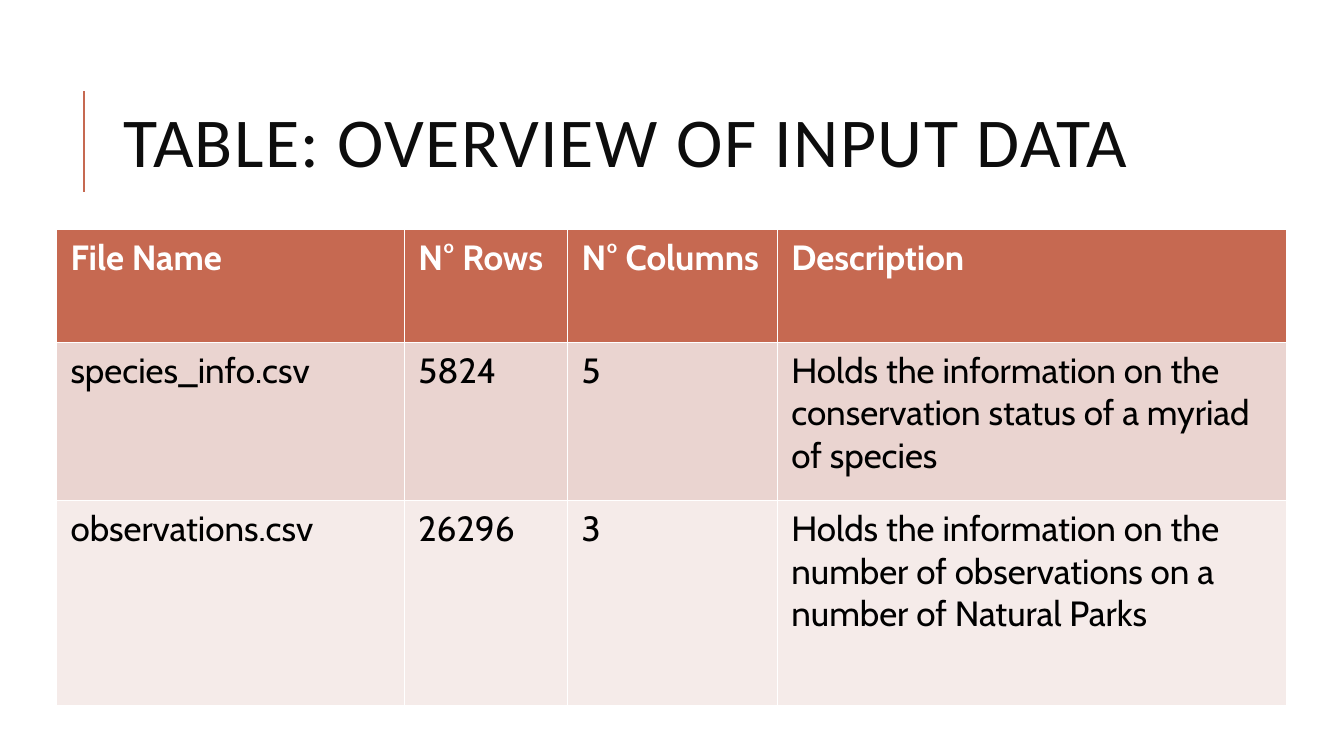
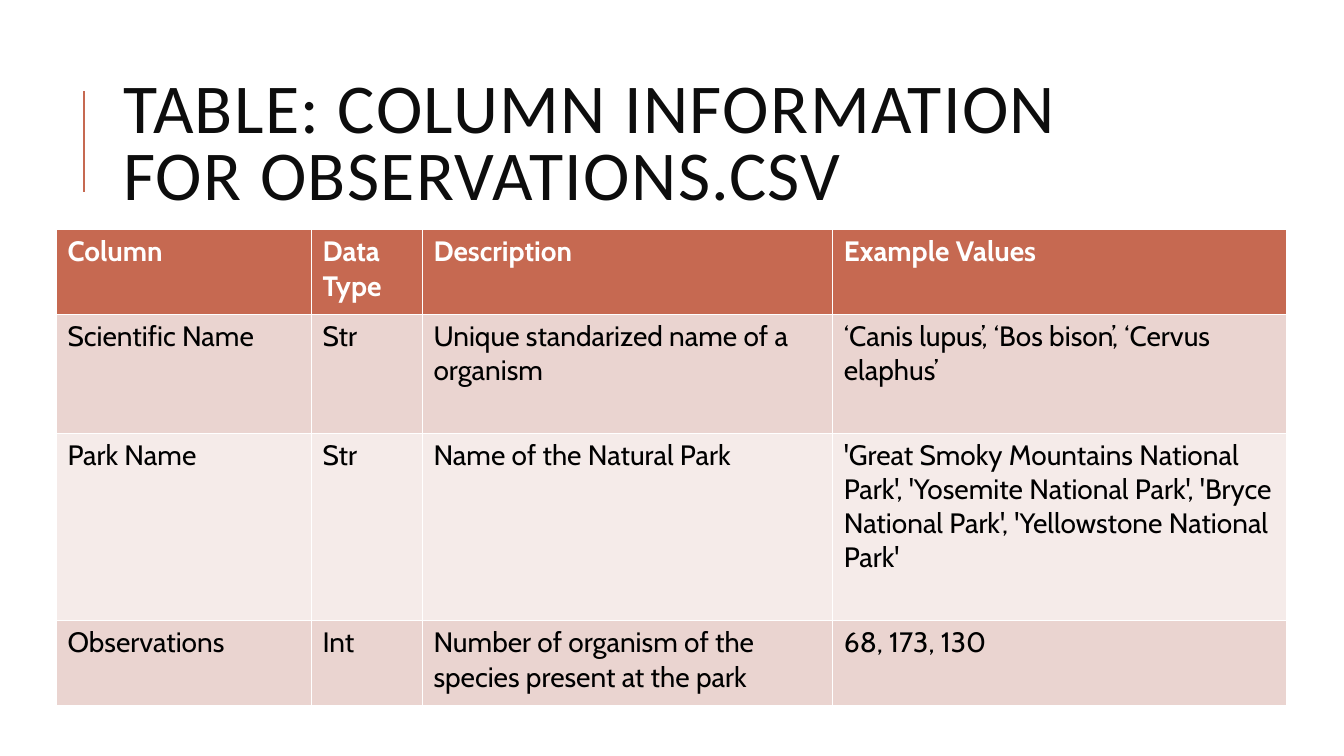
import pptx
import pptx.dml.color
import pptx.enum.shapes
import pptx.enum.text
import pptx.oxml.ns
import pptx.util
from pptx.util import Inches

RGB = pptx.dml.color.RGBColor
RUST = RGB(0xC6, 0x69, 0x51)
BANDS = (RGB(0xEA, 0xD4, 0xD0), RGB(0xF5, 0xEB, 0xE9))
WHITE = RGB(0xFF, 0xFF, 0xFF)
BLACK = RGB(0x00, 0x00, 0x00)
INK = RGB(0x0D, 0x0D, 0x0D)

SLIDES = [
    {
        "title": "TABLE: OVERVIEW OF INPUT DATA",
        "size": 25,
        "pad": (0.14, 0.07),
        "cols": (3.45, 1.62, 2.08, 5.05),
        "heights": (1.12, 1.57, 2.03),
        "rows": [
            ("File Name", "N° Rows", "N° Columns", "Description"),
            ("species_info.csv", "5824", "5",
             "Holds the information on the conservation status of a myriad of species"),
            ("observations.csv", "26296", "3",
             "Holds the information on the number of observations "
             "on a number of Natural Parks"),
        ],
    },
    {
        "title": "TABLE: COLUMN INFORMATION FOR OBSERVATIONS.CSV",
        "size": 20,
        "pad": (0.11, 0.05),
        "cols": (2.53, 1.1, 4.07, 4.5),
        "heights": (0.84, 1.18, 1.86, 0.84),
        "rows": [
            ("Column", "Data Type", "Description", "Example Values"),
            ("Scientific Name", "Str", "Unique standarized name of a organism",
             "‘Canis lupus’, ‘Bos bison’, ‘Cervus elaphus’"),
            ("Park Name", "Str", "Name of the Natural Park",
             "'Great Smoky Mountains National Park', 'Yosemite National Park', "
             "'Bryce National Park', 'Yellowstone National Park'"),
            ("Observations", "Int",
             "Number of organism of the species present at the park",
             "68, 173, 130"),
        ],
    },
]


def style(run, face, size, color, bold=False):
    font = run.font
    font.name, font.size, font.bold = face, pptx.util.Pt(size), bold
    font.color.rgb = color


def add_title(slide, text):
    """Fill the title placeholder and draw the accent rule beside it."""
    title = slide.shapes.title
    title.left, title.top = Inches(1.12), Inches(0.64)
    title.width, title.height = Inches(10.63), Inches(1.64)
    frame = title.text_frame
    frame.text = text
    frame.word_wrap = True
    frame.auto_size = pptx.enum.text.MSO_AUTO_SIZE.NONE
    frame.vertical_anchor = pptx.enum.text.MSO_ANCHOR.MIDDLE
    para = frame.paragraphs[0]
    para.alignment = pptx.enum.text.PP_ALIGN.LEFT
    para.line_spacing = 0.8
    run = para.runs[0]
    style(run, "Calibri", 50, INK)
    run.font._element.set("spc", "100")

    rule = slide.shapes.add_connector(
        pptx.enum.shapes.MSO_CONNECTOR.STRAIGHT,
        Inches(0.83), Inches(1.9), Inches(0.83), Inches(0.9))
    rule.line.color.rgb = RUST
    rule.line.width = pptx.util.Pt(1.5)
    props = rule._element.spPr
    props.append(props.makeelement(pptx.oxml.ns.qn("a:effectLst"), {}))


def fill_cell(cell, text, row, size, pad):
    head = row == 0
    cell.fill.solid()
    cell.fill.fore_color.rgb = RUST if head else BANDS[(row - 1) % 2]
    cell.margin_left = cell.margin_right = Inches(pad[0])
    cell.margin_top = cell.margin_bottom = Inches(pad[1])
    cell.text_frame.text = text
    run = cell.text_frame.paragraphs[0].runs[0]
    style(run, "Cabin", size, WHITE if head else BLACK, head)


def add_grid(slide, data):
    cols, heights = data["cols"], data["heights"]
    grid = slide.shapes.add_table(
        len(heights), len(cols), Inches(0.56), Inches(2.28),
        Inches(sum(cols)), Inches(sum(heights))).table
    for col, width in zip(grid.columns, cols):
        col.width = Inches(width)
    for row, height in zip(grid.rows, heights):
        row.height = Inches(height)
    for r, texts in enumerate(data["rows"]):
        for c, text in enumerate(texts):
            fill_cell(grid.cell(r, c), text, r, data["size"], data["pad"])


def main():
    deck = pptx.Presentation()
    deck.slide_width, deck.slide_height = Inches(13.33), Inches(7.5)
    layout = deck.slide_layouts.get_by_name("Title Only")
    for data in SLIDES:
        slide = deck.slides.add_slide(layout)
        add_title(slide, data["title"])
        add_grid(slide, data)
    deck.save("out.pptx")


if __name__ == "__main__":
    main()
